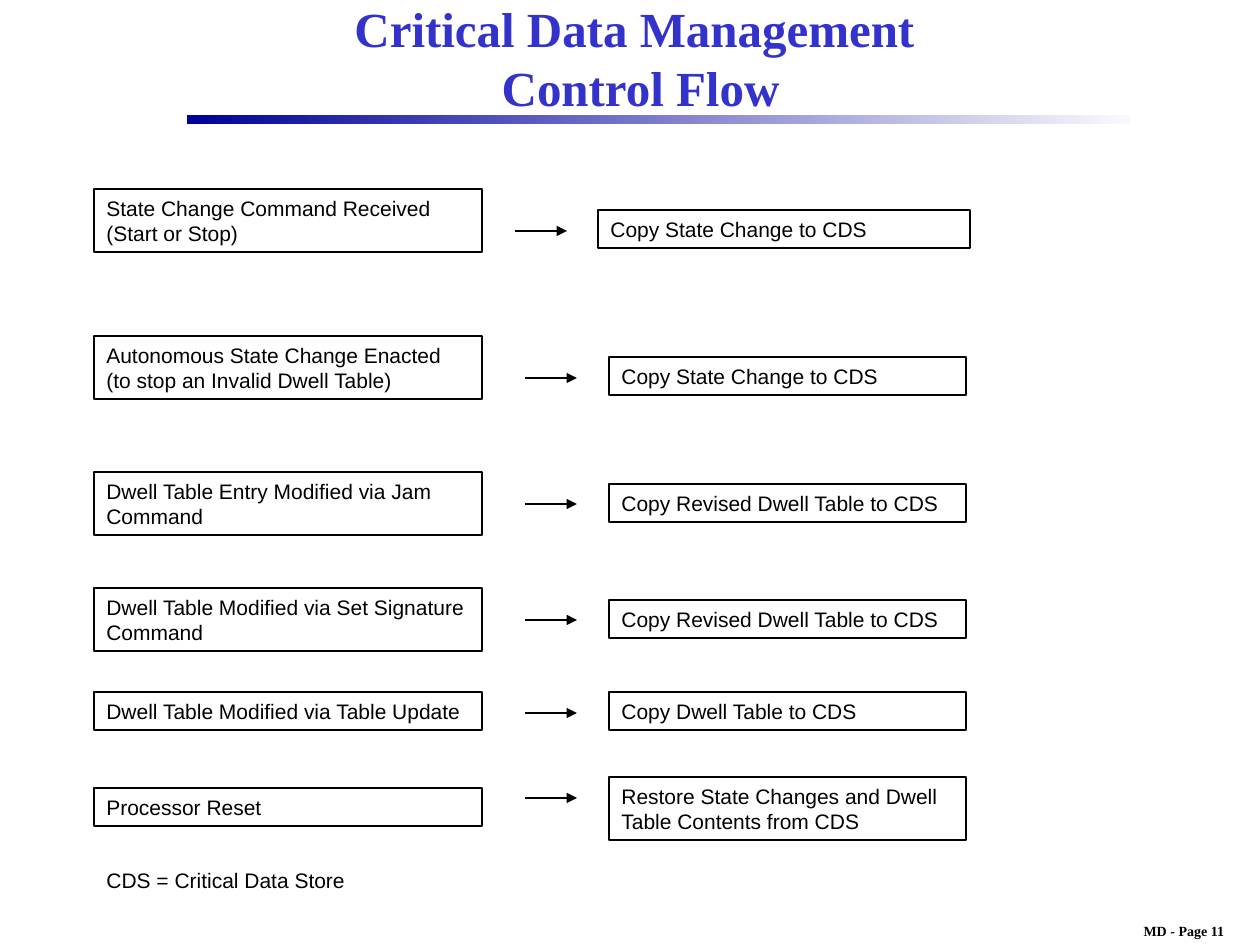
import lxml.etree
import pptx
import pptx.dml.color
import pptx.enum.shapes
import pptx.enum.text
import pptx.oxml.ns
import pptx.util

EMU_PER_PX = 914400 / 126
COLORS = {"text": "000000", "title": "3333CC", "rule_start": "000099", "rule_end": "F9F9FD"}
ALIGN = pptx.enum.text.PP_ALIGN
ANCHOR = pptx.enum.text.MSO_ANCHOR
ONE_LINE, TWO_LINES = 38, 63
EVENT_LEFT, EVENT_WIDTH = 94, 388
ARROW_WIDTH = 52

# event, event top, event height, arrow y, action, action top, action height
FLOWS = [
    ("State Change Command Received (Start or Stop)", 189, TWO_LINES, 231,
     "Copy State Change to CDS", 210, ONE_LINE),
    ("Autonomous State Change Enacted (to stop an Invalid Dwell Table)", 336, TWO_LINES, 378,
     "Copy State Change to CDS", 357, ONE_LINE),
    ("Dwell Table Entry Modified via Jam Command", 472, TWO_LINES, 504,
     "Copy Revised Dwell Table to CDS", 484, ONE_LINE),
    ("Dwell Table Modified via Set Signature Command", 588, TWO_LINES, 620,
     "Copy Revised Dwell Table to CDS", 600, ONE_LINE),
    ("Dwell Table Modified via Table Update", 692, ONE_LINE, 713,
     "Copy Dwell Table to CDS", 692, ONE_LINE),
    ("Processor Reset", 788, ONE_LINE, 798,
     "Restore State Changes and Dwell Table Contents from CDS", 777, TWO_LINES),
]


def px(*lengths):
    return [round(length * EMU_PER_PX) for length in lengths]


def rgb(name):
    return pptx.dml.color.RGBColor.from_string(COLORS[name])


def write_text(shape, text, size, font="Arial", color="text", bold=False,
               align=ALIGN.LEFT, anchor=ANCHOR.TOP, wrap=True):
    frame = shape.text_frame
    frame.word_wrap = wrap
    frame.vertical_anchor = anchor
    paragraph = frame.paragraphs[0]
    paragraph.text = text
    paragraph.alignment = align
    paragraph.font.name = font
    paragraph.font.size = pptx.util.Pt(size)
    paragraph.font.bold = bold
    paragraph.font.color.rgb = rgb(color)


def add_label(slide, box, text, size, **style):
    write_text(slide.shapes.add_textbox(*px(*box)), text, size, **style)


def add_rectangle(slide, box):
    shape = slide.shapes.add_shape(pptx.enum.shapes.MSO_SHAPE.RECTANGLE, *px(*box))
    shape.shadow.inherit = False
    return shape


def add_step(slide, box, text):
    step = add_rectangle(slide, box)
    step.fill.background()
    step.line.color.rgb = rgb("text")
    step.line.width = pptx.util.Pt(0.75)
    write_text(step, text, 12)


def add_arrow(slide, left, y, width):
    arrow = slide.shapes.add_connector(
        pptx.enum.shapes.MSO_CONNECTOR.STRAIGHT, *px(left, y, left + width, y))
    arrow.line.color.rgb = rgb("text")
    arrow.line.width = pptx.util.Pt(0.75)
    line = arrow.line._get_or_add_ln()
    lxml.etree.SubElement(line, pptx.oxml.ns.qn("a:tailEnd"), type="triangle")
    lxml.etree.SubElement(arrow._element.spPr, pptx.oxml.ns.qn("a:effectLst"))


def add_header(slide, left, top, width):
    """Centred two-line title above a fading rule."""
    add_label(slide, (left + 2, top, width - 40, 94), "Critical Data Management \vControl Flow", 28,
              font="Times New Roman", color="title", bold=True,
              align=ALIGN.CENTER, anchor=ANCHOR.MIDDLE)
    rule = add_rectangle(slide, (left, top + 105, width, 9))
    rule.line.fill.background()
    rule.fill.gradient()
    rule.fill.gradient_angle = 0
    for stop, name, position in zip(rule.fill.gradient_stops, ("rule_start", "rule_end"), (0, 1)):
        stop.color.rgb = rgb(name)
        stop.position = position


def add_flow(slide, flow, arrow_left, action_left, action_width):
    event, event_top, event_height, arrow_y, action, action_top, action_height = flow
    add_step(slide, (EVENT_LEFT, event_top, EVENT_WIDTH, event_height), event)
    add_arrow(slide, arrow_left, arrow_y, ARROW_WIDTH)
    add_step(slide, (action_left, action_top, action_width, action_height), action)


def main():
    presentation = pptx.Presentation()
    presentation.slide_width = pptx.util.Inches(10)
    presentation.slide_height = pptx.util.Inches(7.5)
    slide = presentation.slides.add_slide(presentation.slide_layouts[6])

    add_header(slide, 187, 10, 943)
    add_flow(slide, FLOWS[0], 515, 598, 372)
    for flow in FLOWS[1:]:
        add_flow(slide, flow, 525, 609, 357)
    add_label(slide, (EVENT_LEFT, 861, 372, ONE_LINE), "CDS = Critical Data Store", 12)
    add_label(slide, (1108, 916, 152, 29), "MD - Page 11", 8, font="Times New Roman",
              bold=True, align=ALIGN.CENTER, wrap=False)
    presentation.save("out.pptx")


if __name__ == "__main__":
    main()
